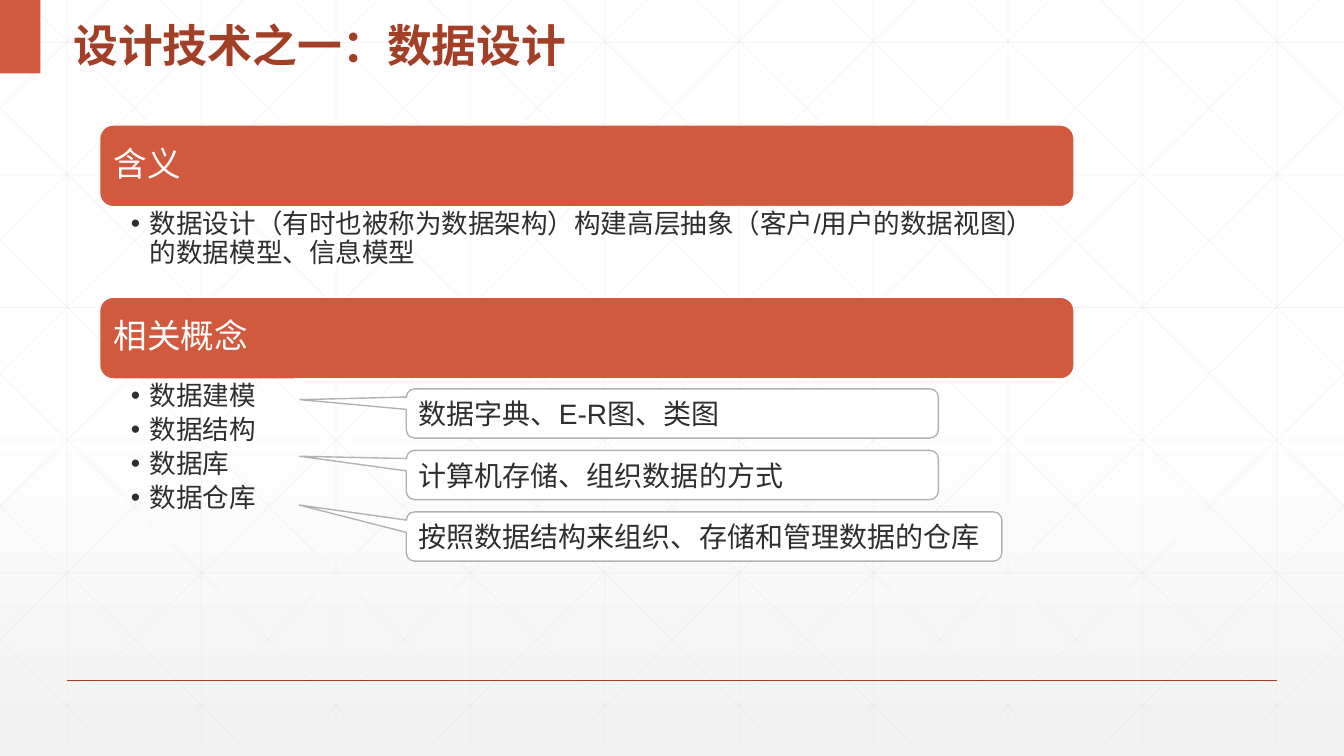
from copy import deepcopy
from dataclasses import dataclass

from lxml.etree import SubElement
from pptx import Presentation
from pptx.dml.color import RGBColor
from pptx.enum.shapes import MSO_CONNECTOR as Connector, MSO_SHAPE as Preset
from pptx.enum.text import MSO_ANCHOR as Anchor, PP_ALIGN as Align
from pptx.oxml.ns import qn
from pptx.util import Cm, Pt

WIDTH, HEIGHT = 33.87, 19.05
GRID_BOTTOM = 18.72
COLUMN_PITCH = WIDTH / 10
ROW_PITCH = 3.34
DIAGONAL_RUN = 18.93
BAR_LEFT, BAR_WIDTH, BAR_HEIGHT = 2.51, 24.56, 2.06
CALLOUT_LEFT, CALLOUT_TOP, CALLOUT_PITCH, CALLOUT_HEIGHT = 10.24, 9.8, 1.55, 1.24

RUST, ORANGE, INK, WHITE = "A43F27", "D15A3E", "2D2E2D", "FFFFFF"
GRID_GREY, CALLOUT_GREY, FOOT_GREY = "D9D9D9", "B2B2B2", "F2F2F2"
LATIN, HAN = "Arial", "Noto Sans CJK SC"


@dataclass(frozen=True)
class Section:
    heading: str
    top: float
    body_height: float
    points: tuple[str, ...]


@dataclass(frozen=True)
class Callout:
    text: str
    width: float
    tip_x: float
    tip_y: float


@dataclass(frozen=True)
class TextStyle:
    size: float
    color: str
    font: str = LATIN
    bold: bool = False
    spacing: float = 1.0
    after: float = 0
    bullet_indent: float = 0


TITLE = TextStyle(32, RUST, HAN, bold=True, spacing=1.3)
HEADING = TextStyle(24, WHITE, spacing=0.9)
POINT = TextStyle(19, INK, spacing=0.9, after=3.6, bullet_indent=0.48)
NOTE = TextStyle(20, INK)

SECTIONS = (
    Section("含义", 3.15, 2.29,
            ("数据设计（有时也被称为数据架构）构建高层抽象（客户/用户的数据视图）的数据模型、信息模型",)),
    Section("相关概念", 7.49, 5.11, ("数据建模", "数据结构", "数据库", "数据仓库")),
)
CALLOUTS = (
    Callout("数据字典、E-R图、类图", 13.41, -0.7, -0.28),
    Callout("计算机存储、组织数据的方式", 13.41, -0.7, -0.38),
    Callout("按照数据结构来组织、存储和管理数据的仓库", 15.01, -0.68, -0.64),
)


def rgb(code: str) -> RGBColor:
    return RGBColor.from_string(code)


def set_attributes(target, values: dict) -> None:
    for name, value in values.items():
        setattr(target, name, value)


def add_alpha(parent, percent: int) -> None:
    for color in parent.iter(qn("a:srgbClr")):
        SubElement(color, qn("a:alpha")).set("val", str(percent * 1000))


def paint_background(page) -> None:
    fill = page.background.fill
    fill.gradient()
    fill.gradient_angle = 270
    first, last = fill.gradient_stops
    set_attributes(first, {"position": 0})
    first.color.rgb = rgb(WHITE)
    last.color.rgb = rgb(FOOT_GREY)
    stops = next(page.element.iter(qn("a:gsLst")))
    add_alpha(stops[1], 65)
    middle = deepcopy(stops[0])
    middle.set("pos", "53000")
    stops.insert(1, middle)


def add_line(page, start: tuple[float, float], end: tuple[float, float],
             color: str, weight: float, opacity: int = 100) -> None:
    line = page.shapes.add_connector(
        Connector.STRAIGHT, *(Cm(value) for value in (*start, *end)))
    line.line.width = Pt(weight)
    line.line.color.rgb = rgb(color)
    properties = line.element.spPr
    if opacity < 100:
        add_alpha(properties, opacity)
    SubElement(properties, qn("a:effectLst"))


def add_grid(page) -> None:
    segments = []
    for column in range(10):
        x = COLUMN_PITCH * (column + 0.5)
        segments.append(((x, 0), (x, GRID_BOTTOM)))
    for row in range(6):
        y = 1.07 + ROW_PITCH * row
        segments.append(((0, y), (WIDTH, y)))
    slope = GRID_BOTTOM / DIAGONAL_RUN
    for step in range(-5, 10):
        origin = 0.64 + COLUMN_PITCH * step
        left, right = max(origin, 0), min(origin + DIAGONAL_RUN, WIDTH)
        top, bottom = ((x - origin) * slope for x in (left, right))
        segments.append(((left, top), (right, bottom)))
        segments.append(((WIDTH - left, top), (WIDTH - right, bottom)))
    for start, end in segments:
        add_line(page, start, end, GRID_GREY, 0.5, 25)


def add_panel(page, preset: Preset, frame: tuple[float, ...], fill: str,
              outline: str | None = None):
    panel = page.shapes.add_shape(preset, *map(Cm, frame))
    panel.shadow.inherit = False
    panel.fill.solid()
    panel.fill.fore_color.rgb = rgb(fill)
    if outline is None:
        panel.line.fill.background()
    else:
        panel.line.color.rgb = rgb(outline)
        panel.line.width = Pt(1)
    return panel


def write(box, lines: tuple[str, ...], style: TextStyle,
          insets: tuple[float, ...] = (0.25, 0.13, 0.25, 0.13),
          anchor: Anchor = Anchor.MIDDLE) -> None:
    frame = box.text_frame
    sides = ("margin_left", "margin_top", "margin_right", "margin_bottom")
    set_attributes(frame, {"word_wrap": True, "vertical_anchor": anchor,
                           **dict(zip(sides, map(Cm, insets)))})
    for index, line in enumerate(lines):
        para = frame.add_paragraph() if index else frame.paragraphs[0]
        set_attributes(para, {"alignment": Align.LEFT, "line_spacing": style.spacing,
                              "space_after": Pt(style.after)})
        if style.bullet_indent:
            properties = para._p.get_or_add_pPr()
            indent = Cm(style.bullet_indent)
            properties.set("marL", str(indent))
            properties.set("indent", str(-indent))
            SubElement(properties, qn("a:buFont")).set("typeface", LATIN)
            SubElement(properties, qn("a:buChar")).set("char", "•")
        span = para.add_run()
        span.text = line
        set_attributes(span.font, {"size": Pt(style.size), "name": style.font,
                                   "bold": style.bold})
        span.font.color.rgb = rgb(style.color)
        SubElement(span.font._element, qn("a:ea")).set("typeface", HAN)


def add_text(page, frame: tuple[float, ...]):
    return page.shapes.add_textbox(*map(Cm, frame))


def add_section(page, section: Section) -> None:
    bar = add_panel(page, Preset.ROUNDED_RECTANGLE,
                    (BAR_LEFT, section.top, BAR_WIDTH, BAR_HEIGHT), ORANGE, WHITE)
    write(bar, (section.heading,), HEADING, (0.25, 0.25, 0.25, 0.25))
    body = add_text(page, (BAR_LEFT, section.top + BAR_HEIGHT + 0.02,
                           BAR_WIDTH, section.body_height))
    write(body, section.points, POINT, (0.79, 0.08, 0.48, 0.08), Anchor.TOP)


def add_callout(page, callout: Callout, top: float) -> None:
    bubble = add_panel(page, Preset.ROUNDED_RECTANGULAR_CALLOUT,
                       (CALLOUT_LEFT, top, callout.width, CALLOUT_HEIGHT),
                       WHITE, CALLOUT_GREY)
    for index, value in enumerate((callout.tip_x, callout.tip_y, 0.17)):
        bubble.adjustments[index] = value
    write(bubble, (callout.text,), NOTE)


def main() -> None:
    deck = Presentation()
    set_attributes(deck, {"slide_width": Cm(WIDTH), "slide_height": Cm(HEIGHT)})
    page = deck.slides.add_slide(deck.slide_layouts[6])
    paint_background(page)
    add_grid(page)
    add_line(page, (1.69, 17.15), (32.17, 17.15), RUST, 1)
    add_panel(page, Preset.RECTANGLE, (0, 0, 1.02, 1.85), ORANGE)
    for section in SECTIONS:
        add_section(page, section)
    write(add_text(page, (1.6, 0, 14.45, 1.85)), ("设计技术之一：数据设计",), TITLE)
    for index, callout in enumerate(CALLOUTS):
        add_callout(page, callout, CALLOUT_TOP + CALLOUT_PITCH * index)
    deck.save("out.pptx")


if __name__ == "__main__":
    main()
